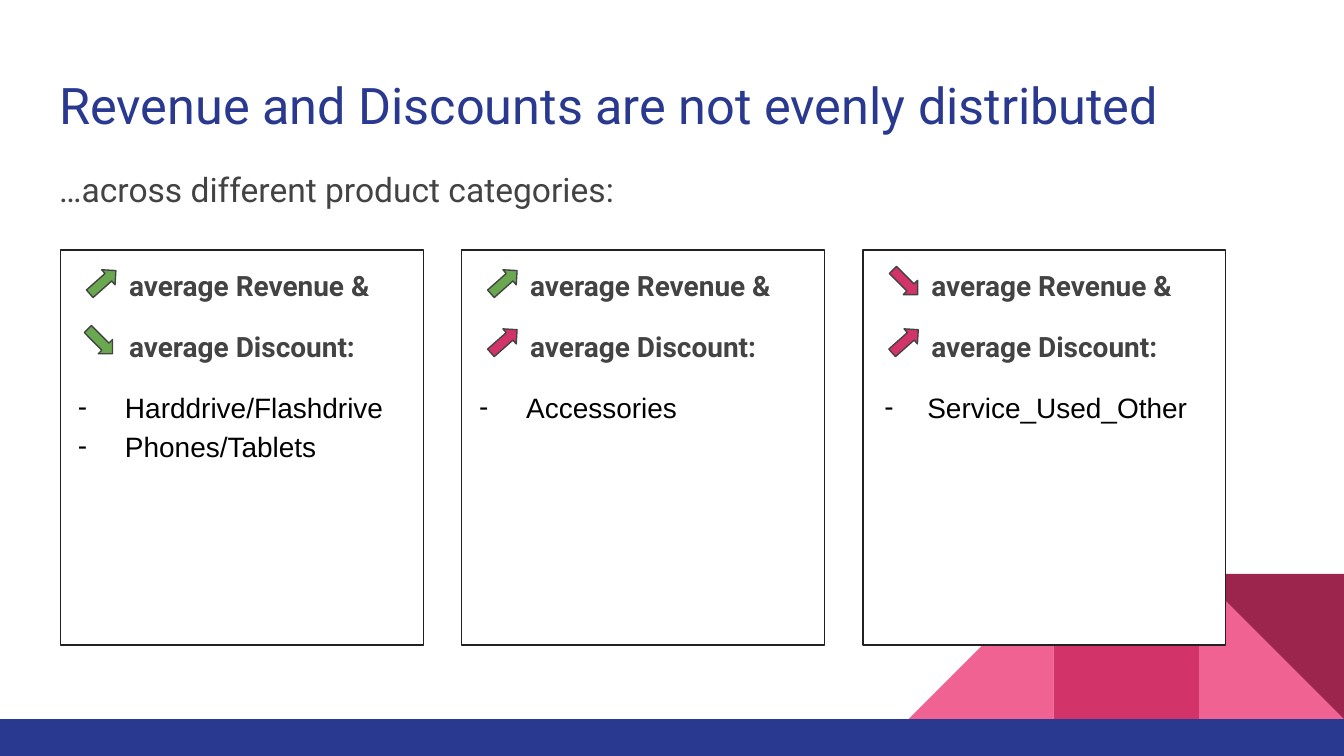
from lxml import etree
from pptx import Presentation
from pptx.dml.color import RGBColor
from pptx.enum.shapes import MSO_SHAPE as Preset
from pptx.enum.text import MSO_ANCHOR, MSO_AUTO_SIZE, PP_ALIGN
from pptx.oxml.ns import qn
from pptx.util import Inches, Pt

COLORS = {
    "blue": "2A3990", "pink": "F06292", "rose": "D23369", "wine": "9C254D",
    "green": "6AA84F", "gray": "434343", "border": "202124",
    "black": "000000", "white": "FFFFFF",
}
FIRST_LEFT, LAST_LEFT = 0.45, 6.42
UP, DOWN = 48.5, 135.2
CARDS = [
    (("green", UP), ("green", DOWN), ["Harddrive/Flashdrive", "Phones/Tablets"], 0.35, None),
    (("green", UP), ("rose", UP), ["Accessories"], 0.35, None),
    (("rose", DOWN), ("rose", UP), ["Service_Used_Other"], 0.32, "white"),
]


def rgb(name):
    """Return the palette colour with this name."""
    return RGBColor.from_string(COLORS[name])


def add_preset(shapes, preset, box, fill, line=None, rotation=0):
    """Add a filled preset shape, outlined only when a line colour is given."""
    shape = shapes.add_shape(preset, *map(Inches, box))
    shape.shadow.inherit = False
    shape.fill.solid()
    shape.fill.fore_color.rgb = rgb(fill)
    shape.rotation = rotation
    if line:
        shape.line.color.rgb = rgb(line)
        shape.line.width = Pt(0.75)
    else:
        shape.line.fill.background()
    return shape


def place_placeholder(placeholder, box):
    """Move a placeholder into a box and return its text frame."""
    placeholder.left, placeholder.top, placeholder.width, placeholder.height = map(Inches, box)
    frame = placeholder.text_frame
    frame.word_wrap = True
    frame.auto_size = MSO_AUTO_SIZE.NONE
    frame.vertical_anchor = MSO_ANCHOR.TOP
    frame.margin_left = frame.margin_right = Inches(0.1)
    frame.margin_top = frame.margin_bottom = Inches(0.1)
    return frame


def write_paragraph(paragraph, text, size, color, font="Roboto", bold=False,
                    before=0, spacing=1.15, margin=0, hanging=0):
    """Write one left-aligned paragraph, with a dash bullet if it hangs."""
    paragraph.text = text
    paragraph.alignment = PP_ALIGN.LEFT
    paragraph.line_spacing = spacing
    paragraph.space_before = Pt(before)
    paragraph.space_after = Pt(0)
    properties = paragraph._p.get_or_add_pPr()
    properties.set("marL", str(Inches(margin)))
    properties.set("indent", str(-Inches(hanging)))
    if hanging:
        bullet_color = etree.SubElement(properties, qn("a:buClr"))
        etree.SubElement(bullet_color, qn("a:srgbClr"), val=COLORS[color])
        etree.SubElement(properties, qn("a:buFont"), typeface=font)
        etree.SubElement(properties, qn("a:buChar"), char="-")
    else:
        etree.SubElement(properties, qn("a:buNone"))
    paragraph.font.name = font
    paragraph.font.size = Pt(size)
    paragraph.font.bold = bold
    paragraph.font.color.rgb = rgb(color)


def add_backdrop(slide, left, top, side):
    """Draw the corner pattern and bottom band behind the slide content."""
    group = slide.shapes.add_group_shape()
    middle, right = left + side, left + 2 * side
    for preset, x, fill, rotation in [
        (Preset.RIGHT_TRIANGLE, right, "pink", 0),
        (Preset.RIGHT_TRIANGLE, left, "pink", 270),
        (Preset.RECTANGLE, middle, "rose", 0),
        (Preset.RIGHT_TRIANGLE, right, "wine", 180),
    ]:
        add_preset(group.shapes, preset, (x, top, side, side), fill, rotation=rotation)
    add_preset(group.shapes, Preset.RECTANGLE, (0, top + side, 10, 0.28), "blue")
    slide.shapes._spTree.insert(2, group._element)


def add_heading(slide, left, top, width):
    """Fill the title and the subtitle below it."""
    title = place_placeholder(slide.shapes.title, (left, top, width, 0.66))
    write_paragraph(title.paragraphs[0], "Revenue and Discounts are not evenly distributed",
                    27, "blue", spacing=1)
    subtitle = place_placeholder(slide.placeholders[1], (left, top + 0.66, width, 0.57))
    write_paragraph(subtitle.paragraphs[0], "…across different product categories:", 18, "gray")


def add_card(slide, placeholder, left, top, card):
    """Fill one outlined card with its trends and product categories."""
    revenue, discount, categories, hanging, fill = card
    frame = place_placeholder(placeholder, (left, top, 2.7, 2.94))
    placeholder.line.color.rgb = rgb("border")
    placeholder.line.width = Pt(0.75)
    if fill:
        placeholder.fill.solid()
        placeholder.fill.fore_color.rgb = rgb(fill)
    write_paragraph(frame.paragraphs[0], "average Revenue &", 15, "gray", bold=True, margin=0.41)
    write_paragraph(frame.add_paragraph(), "average Discount:", 15, "gray", bold=True,
                    before=12, margin=0.41)
    for index, category in enumerate(categories):
        write_paragraph(frame.add_paragraph(), category, 15, "black", font="Arial",
                        before=0 if index else 12, margin=0.38, hanging=hanging)
    for (color, angle), offset in zip((revenue, discount), (0.11, 0.55)):
        shift = 0.22 if (color, angle) == ("green", DOWN) else 0.24
        add_preset(slide.shapes, Preset.UP_ARROW, (left + shift, top + offset, 0.15, 0.26),
                   color, "gray", angle)


def main():
    """Build and save the slide."""
    presentation = Presentation()
    presentation.slide_width = Inches(10)
    presentation.slide_height = presentation.slide_width * 9 // 16
    slide = presentation.slides.add_slide(presentation.slide_layouts[4])
    add_backdrop(slide, 6.76, 4.27, 1.08)
    add_heading(slide, 0.34, 0.45, 9.32)
    step = (LAST_LEFT - FIRST_LEFT) / (len(CARDS) - 1)
    for index, card in enumerate(CARDS):
        add_card(slide, slide.placeholders[index + 2], FIRST_LEFT + index * step, 1.86, card)
    presentation.save("out.pptx")


if __name__ == "__main__":
    main()
